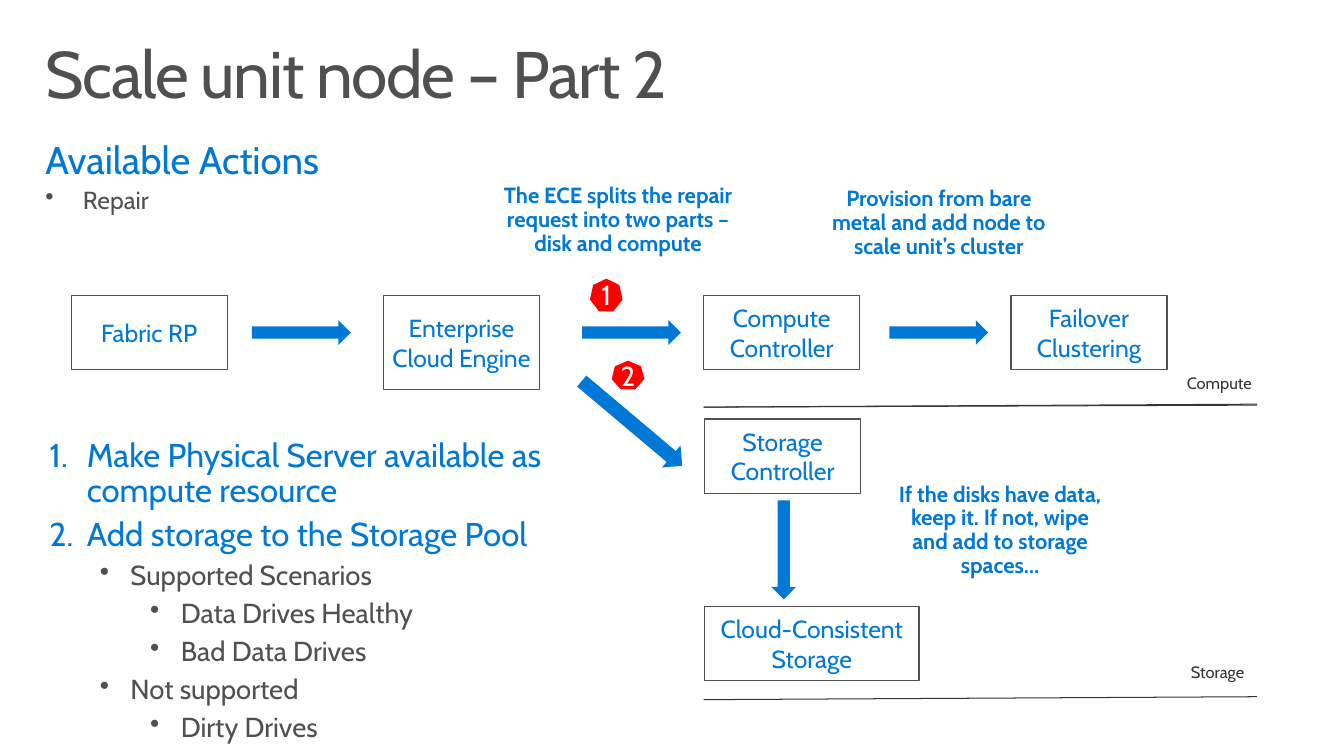
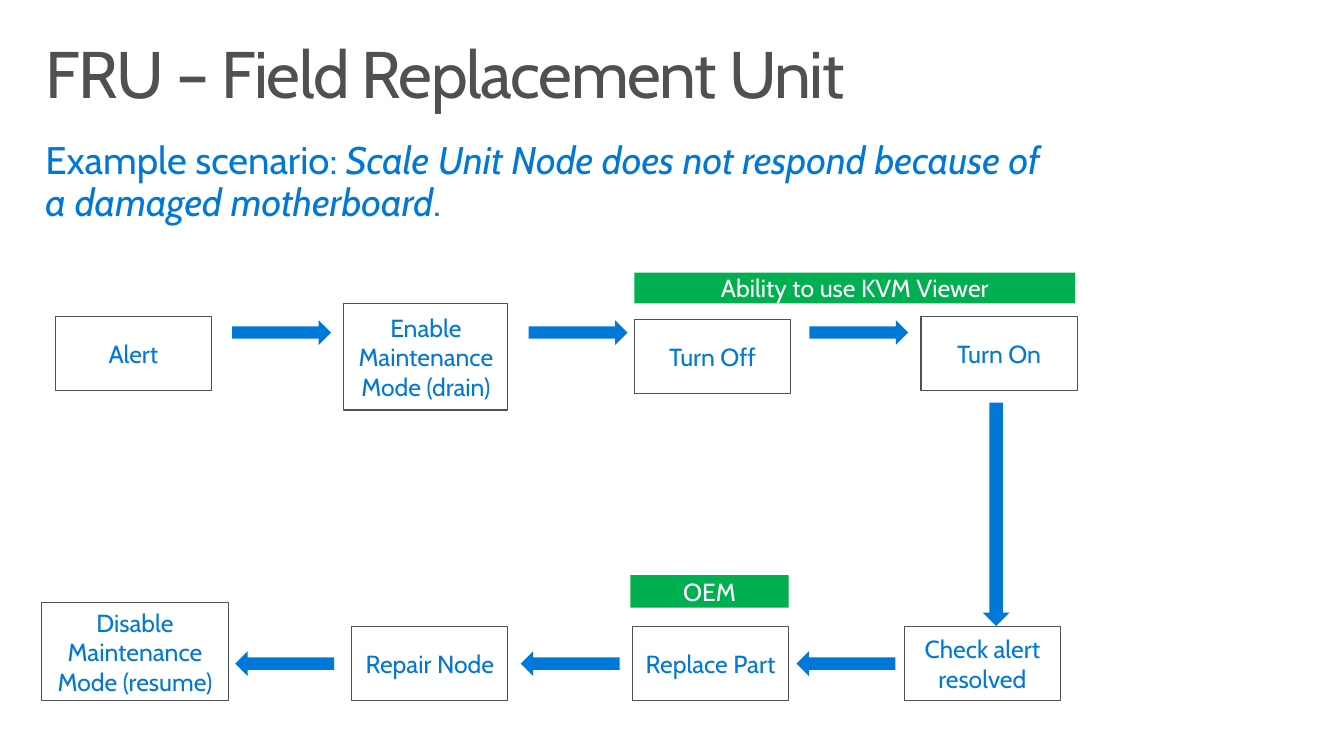
from dataclasses import dataclass

from lxml import etree
from pptx import Presentation
from pptx import util as u
from pptx.dml.color import RGBColor
from pptx.enum import shapes, text
from pptx.oxml.ns import qn


@dataclass(frozen=True)
class Theme:
    font: str = "Cabin"
    blue: str = "0078D7"
    grey: str = "505050"
    dark: str = "353535"
    green: str = "00B050"
    red: str = "FF0000"
    white: str = "FFFFFF"
    title_size: int = 48
    heading_size: int = 28
    list_size: int = 24
    sublist_size: int = 20
    box_size: int = 18
    note_size: int = 16
    label_size: int = 12


THEME = Theme()
BOX_WIDTH, BOX_HEIGHT = 1.58, 0.75
ARROW_LENGTH, ARROW_HEIGHT = 1, 0.25
HEADING_MARGINS = (0.16, 0.1)
TEXT_MARGINS = (0.2, 0.16)
SHAPE_MARGINS = (0, 0.05)


class Deck:
    """Holds the style and the slide being drawn."""

    def __init__(self, theme):
        self.theme = theme
        self.presentation = Presentation()
        self.presentation.slide_width = u.Inches(13.6)
        self.presentation.slide_height = u.Inches(7.65)
        self.slide = None

    def add_slide(self, title):
        self.slide = self.presentation.slides.add_slide(self.presentation.slide_layouts[6])
        frame = self.text_box(0.3, 0.32, 13, 1, HEADING_MARGINS)
        paragraph = self.add_text(frame, title, self.theme.title_size, self.theme.grey)
        for run in paragraph.runs:
            run._r.get_or_add_rPr().set("spc", "-100")

    def set_frame(self, frame, margins):
        frame.word_wrap = True
        frame.margin_left = frame.margin_right = u.Inches(margins[0])
        frame.margin_top = frame.margin_bottom = u.Inches(margins[1])

    def text_box(self, left, top, width, height, margins=TEXT_MARGINS):
        box = self.slide.shapes.add_textbox(*map(u.Inches, (left, top, width, height)))
        self.set_frame(box.text_frame, margins)
        return box.text_frame

    def add_text(self, frame, words, size, color, spacing=0.9, before=0, after=0,
                 align=None, bold=None, bullet=None, indent=(0, 0), level=0):
        """Fill the empty first paragraph or append one; words may be (text, italic) pairs."""
        first = frame.paragraphs[0]
        paragraph = frame.add_paragraph() if first.runs else first
        pairs = [(words, None)] if isinstance(words, str) else words
        for words_part, italic in pairs:
            run = paragraph.add_run()
            run.text = words_part
            run.font.italic = italic
        paragraph.level = level
        if bullet:
            self.set_bullet(paragraph, bullet, *indent)
        paragraph.line_spacing = spacing
        paragraph.space_before = u.Pt(before)
        paragraph.space_after = u.Pt(after)
        paragraph.alignment = align
        paragraph.font.name = self.theme.font
        paragraph.font.size = u.Pt(size)
        paragraph.font.bold = bold
        paragraph.font.color.rgb = RGBColor.from_string(color)
        return paragraph

    def set_bullet(self, paragraph, bullet, margin, first_line):
        """Use a bullet character, or automatic numbers when bullet is '1.'."""
        properties = paragraph._p.get_or_add_pPr()
        properties.set("marL", str(u.Inches(margin)))
        properties.set("indent", str(u.Inches(first_line)))
        if bullet == "1.":
            etree.SubElement(properties, qn("a:buAutoNum"), type="arabicPeriod")
        else:
            etree.SubElement(properties, qn("a:buChar"), char=bullet)

    def heading(self, words, width, height):
        frame = self.text_box(0.3, 1.33, width, height, HEADING_MARGINS)
        self.add_text(frame, words, self.theme.heading_size, self.theme.blue)
        return frame

    def shape(self, kind, left, top, width, height, fill=None, line=None):
        shape = self.slide.shapes.add_shape(kind, *map(u.Inches, (left, top, width, height)))
        shape.shadow.inherit = False
        if fill:
            shape.fill.solid()
            shape.fill.fore_color.rgb = RGBColor.from_string(fill)
        else:
            shape.fill.background()
        if line:
            shape.line.color.rgb = RGBColor.from_string(line)
            shape.line.width = u.Pt(0.85)
        else:
            shape.line.fill.background()
        return shape

    def label_shape(self, shape, words, size, color):
        frame = shape.text_frame
        self.set_frame(frame, SHAPE_MARGINS)
        frame.vertical_anchor = text.MSO_ANCHOR.MIDDLE
        self.add_text(frame, words, size, color, spacing=1, align=text.PP_ALIGN.CENTER)

    def box(self, words, left, top, width=BOX_WIDTH, height=BOX_HEIGHT):
        shape = self.shape(shapes.MSO_SHAPE.RECTANGLE, left, top, width, height,
                           line=self.theme.grey)
        self.label_shape(shape, words, self.theme.box_size, self.theme.blue)

    def banner(self, words, left, top, width, height):
        shape = self.shape(shapes.MSO_SHAPE.RECTANGLE, left, top, width, height,
                           fill=self.theme.green)
        self.label_shape(shape, words, self.theme.box_size, self.theme.white)

    def badge(self, words, left, top, height):
        shape = self.shape(shapes.MSO_SHAPE.HEPTAGON, left, top, 0.33, height,
                           fill=self.theme.red)
        self.label_shape(shape, words, self.theme.sublist_size, self.theme.white)

    def arrow(self, left, top, length=ARROW_LENGTH, height=ARROW_HEIGHT, rotation=0):
        shape = self.shape(shapes.MSO_SHAPE.RIGHT_ARROW, left, top, length, height,
                           fill=self.theme.blue)
        shape.rotation = rotation

    def divider(self, start_y, end_y):
        line = self.slide.shapes.add_connector(
            shapes.MSO_CONNECTOR.STRAIGHT, *map(u.Inches, (7.12, start_y, 12.72, end_y)))
        line.line.color.rgb = RGBColor.from_string(self.theme.dark)
        line.line.width = u.Pt(0.75)
        etree.SubElement(line._element.spPr, qn("a:effectLst"))

    def note(self, words, left, top, width, height):
        self.add_text(self.text_box(left, top, width, height), words, self.theme.note_size,
                      self.theme.blue, after=6, align=text.PP_ALIGN.CENTER, bold=True)

    def zone_label(self, words, left, top):
        self.add_text(self.text_box(left, top, 1.17, 0.5), words,
                      self.theme.label_size, self.theme.dark, after=6)

    def outline(self, items, left, top, width, height):
        """Numbered points at level 0, bullets below."""
        frame = self.text_box(left, top, width, height)
        indents = ((0.38, -0.38), (0.82, -0.31), (1.33, -0.31))
        for level, words in items:
            size, color, bullet = (
                (self.theme.sublist_size, self.theme.grey, "•") if level
                else (self.theme.list_size, self.theme.blue, "1."))
            self.add_text(frame, words, size, color, after=6, bullet=bullet,
                          indent=indents[level], level=level)


def build_repair_slide(deck):
    deck.add_slide("Scale unit node – Part 2")
    actions = deck.heading("Available Actions", 13, 1.44)
    deck.add_text(actions, "Repair", THEME.box_size, THEME.grey, before=3.6,
                  bullet="•", indent=(0.38, -0.38))

    row_top = 2.99
    deck.box("Fabric RP", 0.72, row_top)
    deck.box("Enterprise Cloud Engine", 3.88, row_top, height=0.95)
    deck.box("Compute Controller", 7.12, row_top)
    deck.box("Failover Clustering", 10.23, row_top)
    deck.box("Storage Controller", 7.13, 4.24)
    deck.box("Cloud-Consistent Storage", 7.13, 6.14, width=2.17)

    for left in (2.55, 5.89, 9):
        deck.arrow(left, 3.24)
    deck.arrow(7.43, 5.44, rotation=90)
    deck.arrow(5.73, 4.14, 1.33, 0.29, rotation=40.1)
    deck.badge("1", 5.97, 2.82, 0.33)
    deck.badge("2", 6.19, 3.65, 0.29)

    for start_y, end_y in ((4.12, 4.1), (4.12, 4.09), (7.08, 7.05)):
        deck.divider(start_y, end_y)
    deck.zone_label("Compute", 11.81, 3.71)
    deck.zone_label("Storage", 11.85, 6.63)

    deck.outline((
        (0, "Make Physical Server available as compute resource"),
        (0, "Add storage to the Storage Pool"),
        (1, "Supported Scenarios"),
        (2, "Data Drives Healthy"),
        (2, "Bad Data Drives"),
        (1, "Not supported"),
        (2, "Dirty Drives"),
    ), 0.3, 4.28, 5.9, 3.37)

    deck.note("The ECE splits the repair request into two parts – disk and compute",
              4.76, 1.71, 2.99, 1.05)
    deck.note("Provision from bare metal and add node to scale unit’s cluster",
              8.09, 1.74, 2.82, 1.05)
    deck.note("If the disks have data, keep it. If not, wipe and add to storage spaces…",
              8.85, 4.73, 2.54, 1.29)


def build_replacement_slide(deck):
    deck.add_slide("FRU – Field Replacement Unit")
    deck.heading((
        ("Example scenario: ", None),
        ("Scale Unit Node does not respond because of a damaged motherboard", True),
        (".", None),
    ), 10.63, 1.05)

    deck.box("Alert", 0.56, 3.2)
    deck.box("Enable Maintenance Mode (drain)", 3.48, 3.07, 1.66, 1.08)
    deck.box("Turn Off", 6.42, 3.23)
    deck.box("Turn On", 9.32, 3.2)
    for left in (2.35, 5.35, 8.19):
        deck.arrow(left, 3.24)
    deck.arrow(8.95, 5.07, 2.26, 0.27, rotation=90)

    return_top = 6.34
    deck.box("Check alert resolved", 9.15, return_top)
    deck.box("Replace Part", 6.4, return_top)
    deck.box("Repair Node", 3.56, return_top)
    deck.box("Disable Maintenance Mode (resume)", 0.42, 6.1, 1.89, 0.99)
    for left in (8.06, 5.27, 2.38):
        deck.arrow(left, 6.59, rotation=180)

    deck.banner("Ability to use KVM Viewer", 6.42, 2.76, 4.46, 0.31)
    deck.banner("OEM", 6.38, 5.82, 1.6, 0.33)


def main():
    deck = Deck(THEME)
    build_repair_slide(deck)
    build_replacement_slide(deck)
    deck.presentation.save("out.pptx")


if __name__ == "__main__":
    main()
